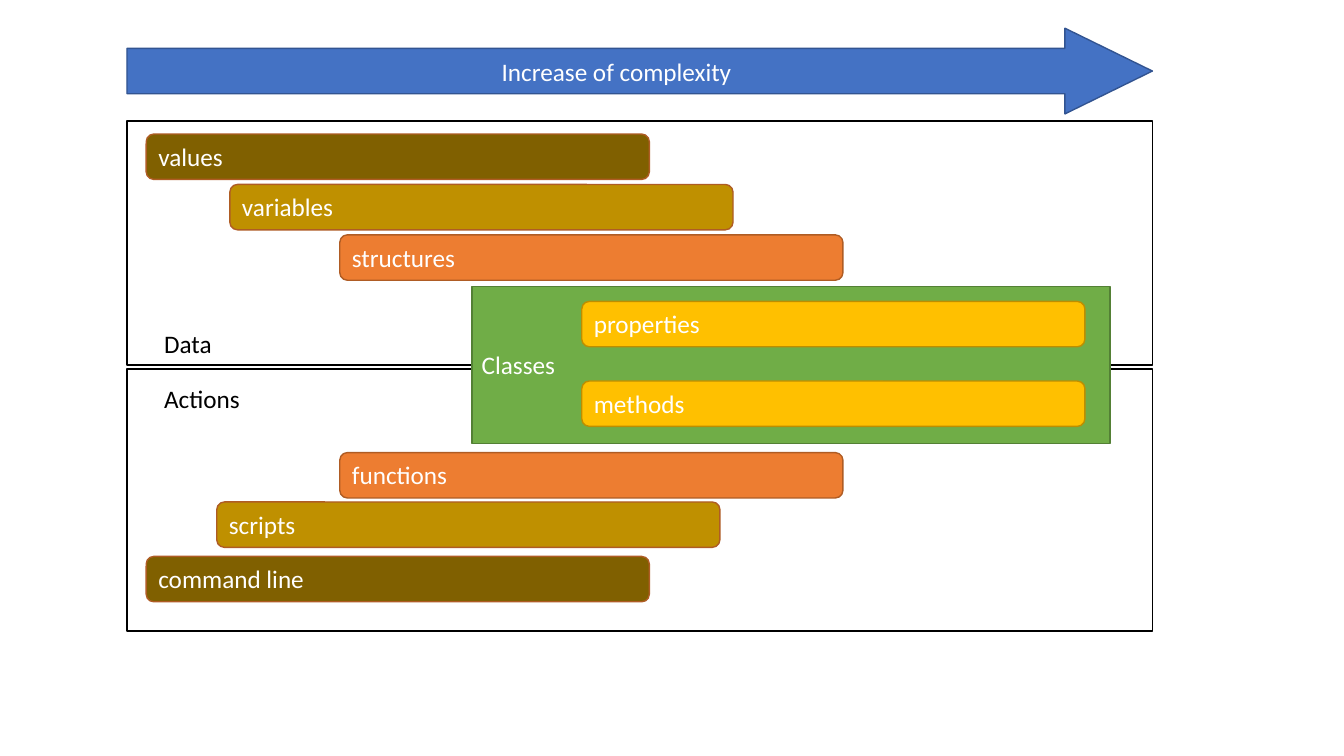
import pptx
import pptx.util
import pptx.dml.color
import pptx.enum.shapes
import pptx.enum.text
from lxml import etree

Inches = pptx.util.Inches
SHAPES = pptx.enum.shapes.MSO_SHAPE
ALIGN = pptx.enum.text.PP_ALIGN
ANCHOR = pptx.enum.text.MSO_ANCHOR
FIT = pptx.enum.text.MSO_AUTO_SIZE

# Content
ARROW_TEXT = "Increase of complexity"
CLASSES_TEXT = "Classes"
FRAMES = [(1.2, 2.42), (3.66, 2.6)]  # top, height of data and actions
SECTIONS = [("Data", 3.21, 0.68), ("Actions", 3.75, 0.96)]  # text, top, width
RUST, AMBER = "AF5C24", "BD8E00"
CONCEPTS = [  # text, left, top, fill, line
    ("values", 1.45, 1.33, "806000", RUST),
    ("command line", 1.45, 5.52, "806000", RUST),
    ("variables", 2.28, 1.83, "BF9000", RUST),
    ("scripts", 2.15, 4.98, "BF9000", RUST),
    ("structures", 3.37, 2.33, "ED7D31", RUST),
    ("functions", 3.37, 4.49, "ED7D31", RUST),
]
MEMBERS = [
    ("properties", 5.77, 2.99, "FFC000", AMBER),
    ("methods", 5.77, 3.78, "FFC000", AMBER),
]

# Layout
FRAME_LEFT, FRAME_WIDTH = 1.26, 10.17
BAR_WIDTH, BAR_HEIGHT = 4.99, 0.45
SECTION_LEFT, SECTION_HEIGHT = 1.53, 0.4


def color(value):
    return pptx.dml.color.RGBColor.from_string(value)


def write(box, text, ink="FFFFFF", align=ALIGN.LEFT, **frame_format):
    frame = box.text_frame
    for name, value in frame_format.items():
        setattr(frame, name, value)
    para = frame.paragraphs[0]
    para.alignment = align
    span = para.add_run()
    span.text = text
    for name, value in {"name": "Calibri", "size": pptx.util.Pt(18)}.items():
        setattr(span.font, name, value)
    span.font.color.rgb = color(ink)


def add_box(kind, place, line, fill=None):
    box = page.shapes.add_shape(kind, *map(Inches, place))
    box.shadow.inherit = False
    if fill:
        box.fill.solid()
        box.fill.fore_color.rgb = color(fill)
    else:
        box.fill.background()
    box.line.color.rgb = color(line)
    box.line.width = pptx.util.Pt(1)
    return box


def add_frame(top, height):
    add_box(SHAPES.RECTANGLE, (FRAME_LEFT, top, FRAME_WIDTH, height), "000000")


def add_bar(text, left, top, fill, line):
    place = (left, top, BAR_WIDTH, BAR_HEIGHT)
    bar = add_box(SHAPES.ROUNDED_RECTANGLE, place, line, fill)
    write(bar, text, vertical_anchor=ANCHOR.TOP, word_wrap=True,
          auto_size=FIT.SHAPE_TO_FIT_TEXT)


deck = pptx.Presentation()
deck.slide_width, deck.slide_height = Inches(13.33), Inches(7.5)
page = deck.slides.add_slide(deck.slide_layouts[6])

# Data frame and complexity arrow
add_frame(*FRAMES[0])
arrow = add_box(SHAPES.RIGHT_ARROW, (FRAME_LEFT, 0.28, FRAME_WIDTH, 0.85),
                "325491", "4472C4")
arrow.adjustments[0], arrow.adjustments[1] = 0.53, 1.02
write(arrow, ARROW_TEXT, align=ALIGN.CENTER, vertical_anchor=ANCHOR.MIDDLE)

# Concept bars, with the actions frame above them
for concept in CONCEPTS:
    add_bar(*concept)
add_frame(*FRAMES[1])

# Classes span data and actions
classes = add_box(SHAPES.RECTANGLE, (4.68, 2.84, 6.33, 1.56), "538035", "70AD47")
write(classes, CLASSES_TEXT, vertical_anchor=ANCHOR.MIDDLE)
for member in MEMBERS:
    add_bar(*member)

# Section labels
for text, top, width in SECTIONS:
    place = (SECTION_LEFT, top, width, SECTION_HEIGHT)
    label = page.shapes.add_textbox(*map(Inches, place))
    write(label, text, "000000", word_wrap=False, auto_size=FIT.SHAPE_TO_FIT_TEXT)

deck.save("out.pptx")
